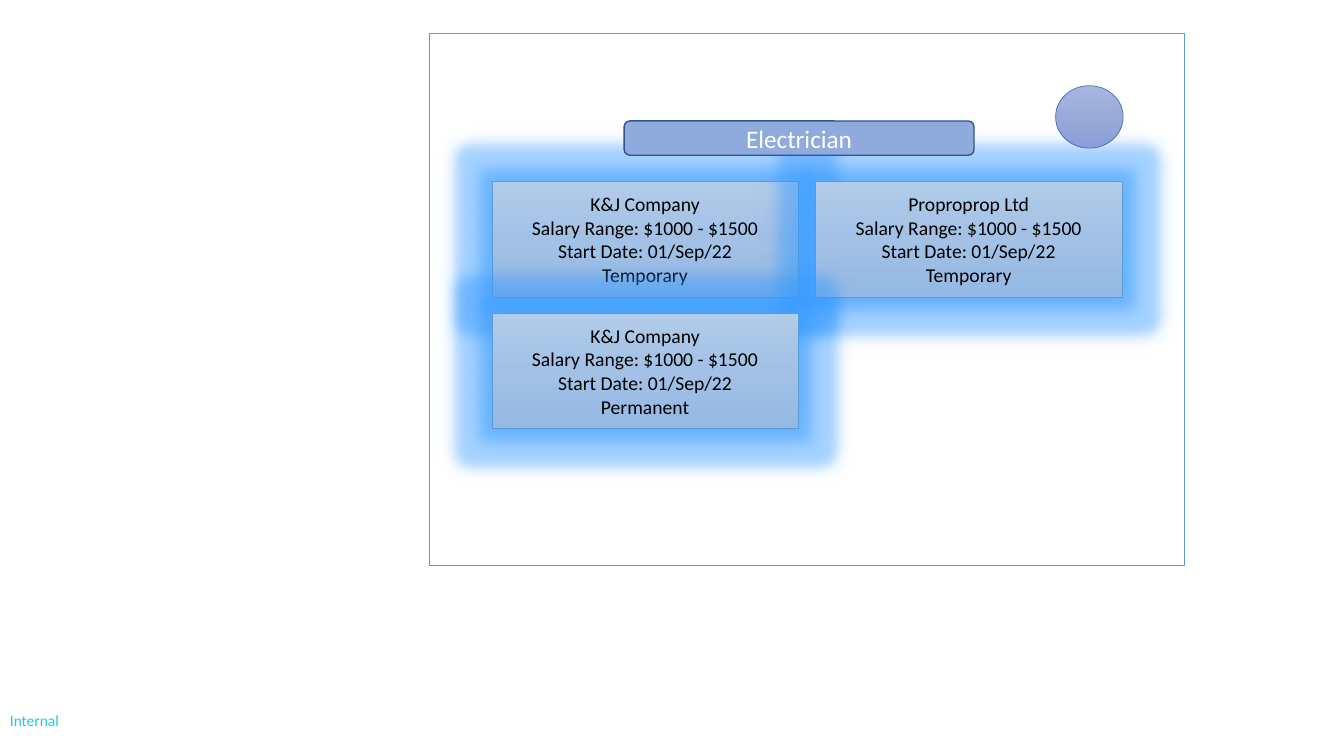
from dataclasses import dataclass
from typing import Any, Optional

from lxml import etree
from pptx import Presentation
from pptx.dml.color import RGBColor
from pptx.enum.shapes import MSO_SHAPE
from pptx.enum.text import MSO_ANCHOR, PP_ALIGN
from pptx.oxml import parse_xml
from pptx.oxml.ns import nsdecls, qn
from pptx.util import Emu, Inches, Pt

RECT = MSO_SHAPE.RECTANGLE
ROUNDED = MSO_SHAPE.ROUNDED_RECTANGLE
CIRCLE = MSO_SHAPE.FLOWCHART_CONNECTOR
MIDDLE = MSO_ANCHOR.MIDDLE
CENTER, LEFT = PP_ALIGN.CENTER, PP_ALIGN.LEFT


@dataclass(frozen=True)
class TextStyle:
    size: int
    color: str
    align: Any = CENTER


@dataclass(frozen=True)
class Theme:
    font: str = "Calibri"
    outline: str = "5B9BD5"
    card_fill: tuple[str, ...] = ("B1CBE9", "A3C1E5", "93B9E4")
    badge_fill: tuple[str, ...] = ("A8B7DF", "9AABD9", "889ED7")
    badge_line: str = "4472C4"
    title_fill: tuple[str, ...] = ("8FAADC",)
    title_line: str = "325491"
    glow: str = "3399FF"
    card: TextStyle = TextStyle(14, "000000")
    title: TextStyle = TextStyle(18, "FFFFFF")
    label: TextStyle = TextStyle(11, "1BCED8", LEFT)


@dataclass(frozen=True)
class Box:
    left: float
    top: float
    width: float
    height: float


@dataclass(frozen=True)
class Look:
    kind: Any
    line: str
    weight: float = 0.5
    fills: tuple[str, ...] = ()
    glow: Optional[str] = None


@dataclass(frozen=True)
class Job:
    column: int
    row: int
    company: str
    contract: str


THEME = Theme()
PANEL = Box(31.96, 4.4, 56.19, 70.4)
CARD = Box(36.6, 24, 22.8, 15.33)
COLUMN_STEP, ROW_STEP = 24.08, 17.4
BADGE = Box(78.54, 11.33, 5.03, 8.27)
TITLE = Box(46.44, 16, 26.03, 4.53)
LABEL = Box(0, 92.67, 100, 5.33)
TERMS = ("Salary Range: $1000 - $1500", "Start Date: 01/Sep/22")
JOBS = (
    Job(0, 0, "K&J Company", "Temporary"),
    Job(1, 0, "Proproprop Ltd", "Temporary"),
    Job(0, 1, "K&J Company", "Permanent"),
)

prs = Presentation()
prs.slide_width, prs.slide_height = Inches(13.33), Inches(7.5)
s = prs.slides.add_slide(prs.slide_layouts[6])


def place(box: Box) -> tuple[Emu, Emu, Emu, Emu]:
    w, h = prs.slide_width / 100, prs.slide_height / 100
    lengths = (box.left * w, box.top * h, box.width * w, box.height * h)
    return tuple(Emu(round(length)) for length in lengths)


def apply(target: Any, values: dict[str, Any]) -> None:
    for name, value in values.items():
        setattr(target, name, value)


def paint(sp: Any, colors: tuple[str, ...]) -> None:
    if not colors:
        sp.fill.background()
    elif len(colors) == 1:
        sp.fill.solid()
        sp.fill.fore_color.rgb = RGBColor.from_string(colors[0])
    else:
        step = 100000 // (len(colors) - 1)
        stops = "".join(
            f'<a:gs pos="{i * step}"><a:srgbClr val="{color}"/></a:gs>'
            for i, color in enumerate(colors)
        )
        fill = parse_xml(
            f'<a:gradFill {nsdecls("a")} rotWithShape="1"><a:gsLst>{stops}</a:gsLst>'
            '<a:lin ang="5400000" scaled="0"/></a:gradFill>'
        )
        sp._element.spPr.find(qn("a:prstGeom")).addnext(fill)


def add_glow(sp: Any, color: str) -> None:
    effects = sp._element.spPr.find(qn("a:effectLst"))
    for tag, values in (
        ("a:glow", {"rad": Inches(0.25)}),
        ("a:outerShdw", {"blurRad": Inches(0.25), "dist": 0, "algn": "ctr"}),
    ):
        effect = etree.SubElement(effects, qn(tag))
        for name, value in values.items():
            effect.set(name, str(value))
        tint = etree.SubElement(effect, qn("a:srgbClr"), val=color)
        etree.SubElement(tint, qn("a:alpha"), val="40000")


def write(sp: Any, lines: tuple[str, ...], style: TextStyle) -> None:
    tf = sp.text_frame
    apply(tf, {"word_wrap": True, "vertical_anchor": MIDDLE})
    for i, line in enumerate(lines):
        p = tf.add_paragraph() if i else tf.paragraphs[0]
        p.alignment = style.align
        r = p.add_run()
        r.text = line
        apply(r.font, {"name": THEME.font, "size": Pt(style.size)})
        r.font.color.rgb = RGBColor.from_string(style.color)


def draw(box: Box, look: Look) -> Any:
    sp = s.shapes.add_shape(look.kind, *place(box))
    sp.shadow.inherit = False
    paint(sp, look.fills)
    sp.line.color.rgb = RGBColor.from_string(look.line)
    sp.line.width = Pt(look.weight)
    if look.glow:
        add_glow(sp, look.glow)
    return sp


def draw_job(job: Job) -> None:
    box = Box(
        CARD.left + job.column * COLUMN_STEP,
        CARD.top + job.row * ROW_STEP,
        CARD.width,
        CARD.height,
    )
    sp = draw(box, Look(RECT, THEME.outline, fills=THEME.card_fill, glow=THEME.glow))
    write(sp, (job.company, *TERMS, job.contract), THEME.card)


draw(PANEL, Look(RECT, THEME.outline))
for job in JOBS:
    draw_job(job)
draw(BADGE, Look(CIRCLE, THEME.badge_line, fills=THEME.badge_fill))
title = draw(TITLE, Look(ROUNDED, THEME.title_line, 1, THEME.title_fill))
write(title, ("Electrician",), THEME.title)
write(s.shapes.add_textbox(*place(LABEL)), ("Internal",), THEME.label)

prs.save("out.pptx")
